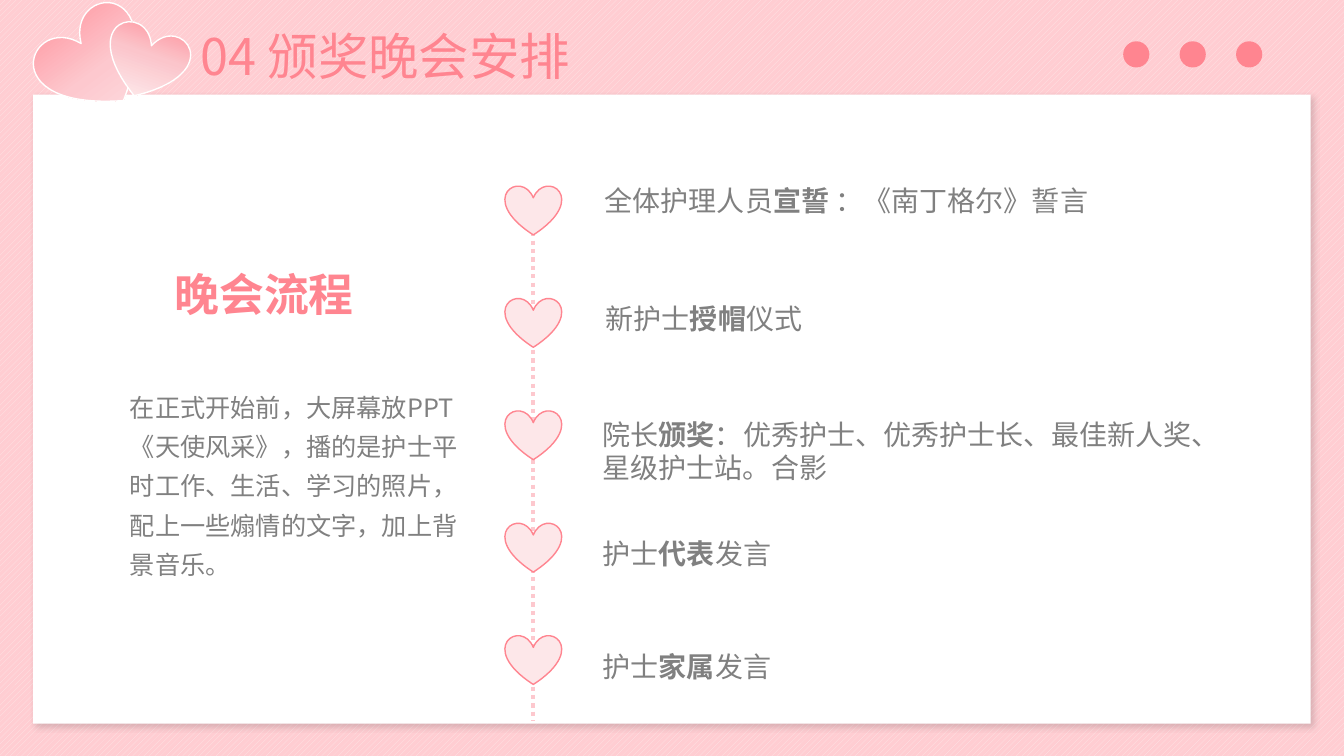
import pptx
import pptx.util
import pptx.dml.color
import pptx.enum.dml
import pptx.enum.shapes
import pptx.enum.text
import pptx.oxml
import pptx.oxml.ns

Inches = pptx.util.Inches
Pt = pptx.util.Pt
SHAPE = pptx.enum.shapes.MSO_SHAPE
ALIGN = pptx.enum.text.PP_ALIGN
FONT = "Noto Sans CJK SC"
PINK, SOFT, PALE, BLUSH = "FF8590", "FDC8CE", "FDE7E9", "FFCDD2"
GREY, WHITE = "808080", "FFFFFF"
NAMESPACE = pptx.oxml.ns.nsdecls("a")


def color(value):
    return pptx.dml.color.RGBColor.from_string(value)


def shadow_xml(blur, distance, angle, alpha):
    return pptx.oxml.parse_xml(
        f'<a:effectLst {NAMESPACE}><a:outerShdw blurRad="{Pt(blur)}" dist="{Pt(distance)}" '
        f'dir="{angle * 60000}" algn="tl" rotWithShape="0"><a:srgbClr val="000000">'
        f'<a:alpha val="{alpha * 1000}"/></a:srgbClr></a:outerShdw></a:effectLst>')


def add_figure(page, kind, left, top, width, height, fill=None, line=None):
    figure = page.shapes.add_shape(
        kind, Inches(left), Inches(top), Inches(width), Inches(height))
    figure.shadow.inherit = False
    if fill:
        figure.fill.solid()
        figure.fill.fore_color.rgb = color(fill)
    if line:
        figure.line.color.rgb = color(line)
        figure.line.width = Pt(1)
    else:
        figure.line.fill.background()
    return figure


def add_backdrop(page):
    backdrop = add_figure(page, SHAPE.RECTANGLE, 0, 0, 13.33, 7.5)
    backdrop.fill.patterned()
    backdrop.fill.pattern = pptx.enum.dml.MSO_PATTERN.WIDE_UPWARD_DIAGONAL
    backdrop.fill.fore_color.rgb = color(PALE)
    backdrop.fill.back_color.rgb = color(BLUSH)
    panel = add_figure(page, SHAPE.RECTANGLE, 0.33, 0.94, 12.67, 6.24, WHITE)
    properties = panel._element.spPr
    properties.remove(properties.find(pptx.oxml.ns.qn("a:effectLst")))
    properties.append(shadow_xml(4, 3, 45, 15))


def add_gradient_heart(page, left, top, width, height, rotation, middle, stops):
    heart = add_figure(page, SHAPE.HEART, left, top, width, height, middle, WHITE)
    heart.rotation = rotation
    stop_xml = "".join(
        f'<a:gs pos="{position * 1000}"><a:srgbClr val="{value}"/></a:gs>'
        for position, value in stops)
    gradient = pptx.oxml.parse_xml(
        f'<a:gradFill {NAMESPACE} rotWithShape="1"><a:gsLst>{stop_xml}</a:gsLst>'
        f'<a:lin ang="5400000" scaled="0"/></a:gradFill>')
    properties = heart._element.spPr
    properties.replace(properties.find(pptx.oxml.ns.qn("a:solidFill")), gradient)


def add_text(page, left, top, width, height, spans, size, tint=GREY,
             spacing=None, align=None, middle=False):
    box = page.shapes.add_textbox(
        Inches(left), Inches(top), Inches(width), Inches(height))
    frame = box.text_frame
    frame.word_wrap = True
    if middle:
        frame.vertical_anchor = pptx.enum.text.MSO_ANCHOR.MIDDLE
    para = frame.paragraphs[0]
    para.alignment = align
    para.line_spacing = spacing
    for text, bold in spans:
        span = para.add_run()
        span.text = text
        span.font.size = Pt(size)
        span.font.bold = bold
        span.font.color.rgb = color(tint)
        span.font.name = FONT
        span._r.get_or_add_rPr().append(
            pptx.oxml.parse_xml(f'<a:ea {NAMESPACE} typeface="{FONT}"/>'))
    return box


def add_timeline(page):
    rail = page.shapes.add_connector(
        pptx.enum.shapes.MSO_CONNECTOR.STRAIGHT,
        Inches(5.29), Inches(1.97), Inches(5.29), Inches(7.15))
    rail.line.color.rgb = color(SOFT)
    rail.line.width = Pt(3)
    rail.line.dash_style = pptx.enum.dml.MSO_LINE.ROUND_DOT
    rail._element.spPr.append(pptx.oxml.parse_xml(f"<a:effectLst {NAMESPACE}/>"))
    steps = [
        (5.9, 1.67, 5.42, 0.5, 1.3, "全体护理人员", "宣誓", " ：《南丁格尔》誓言"),
        (5.91, 2.84, 2.41, 0.5, 1.3, "新护士", "授帽", "仪式"),
        (5.88, 4.09, 6.26, 0.77, None, "院长", "颁奖",
         "：优秀护士、优秀护士长、最佳新人奖、星级护士站。合影"),
        (5.88, 5.27, 3.99, 0.44, None, "护士", "代表", "发言"),
        (5.88, 6.29, 5.42, 0.5, 1.3, "护士", "家属", "发言"),
    ]
    for index, (left, top, width, height, spacing, before, key, after) in enumerate(steps):
        add_figure(page, SHAPE.HEART, 5.01, 1.84 + index * 1.115, 0.56, 0.49, PALE, PINK)
        spans = [(before, False), (key, True), (after, False)]
        add_text(page, left, top, width, height, spans, 20, spacing=spacing)


def main():
    deck = pptx.Presentation()
    deck.slide_width = Inches(13.33)
    deck.slide_height = Inches(7.5)
    page = deck.slides.add_slide(deck.slide_layouts[6])

    add_backdrop(page)
    add_gradient_heart(page, 0.4, 0.15, 1.09, 0.94, 323.4, SOFT,
                       [(0, PINK), (54, SOFT), (100, PALE)])
    add_gradient_heart(page, 1.04, 0.27, 0.81, 0.7, 19.1, SOFT,
                       [(0, PINK), (43, "FBC5CB"), (82, PALE)])
    for index in range(3):
        add_figure(page, SHAPE.OVAL, 11.14 + index * 0.56, 0.41, 0.26, 0.26, PINK)
    add_text(page, 1.89, 0.2, 4.48, 0.71, [("04 颁奖晚会安排", False)], 36, PINK,
             align=ALIGN.JUSTIFY)

    heading = add_text(page, 1.51, 2.56, 2.22, 0.71, [("晚会流程", True)], 32, PINK,
                       align=ALIGN.CENTER, middle=True)
    heading_run = heading.text_frame.paragraphs[0].runs[0]._r
    heading_run.rPr.find(pptx.oxml.ns.qn("a:solidFill")).addnext(shadow_xml(4, 3, 45, 40))
    add_text(page, 1.19, 3.75, 3.5, 2.07,
             [("在正式开始前，大屏幕放PPT《天使风采》，播的是护士平时工作、生活、学习的照片，"
               "配上一些煽情的文字，加上背景音乐。", False)], 18, spacing=1.3)
    add_timeline(page)
    deck.save("out.pptx")


if __name__ == "__main__":
    main()
